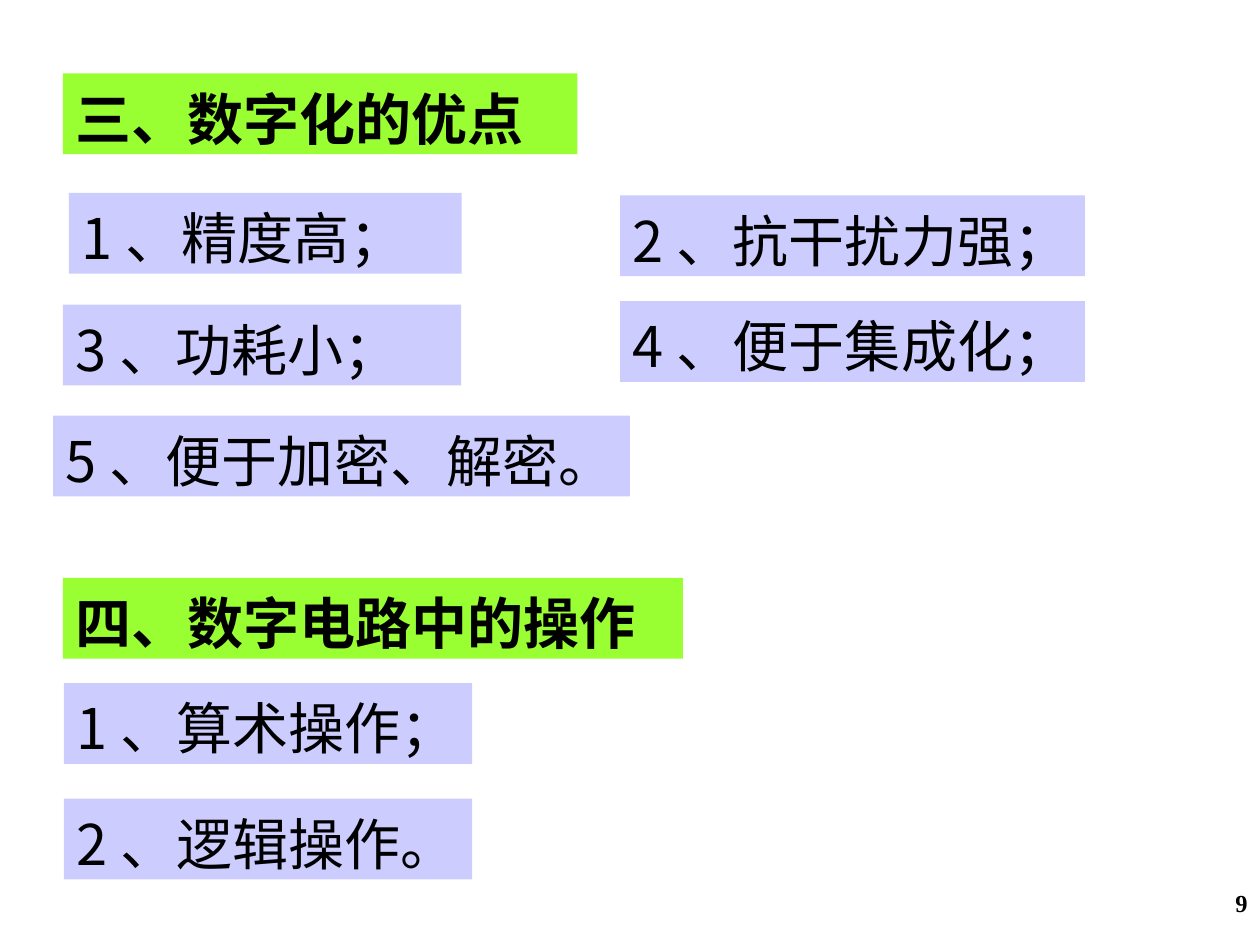
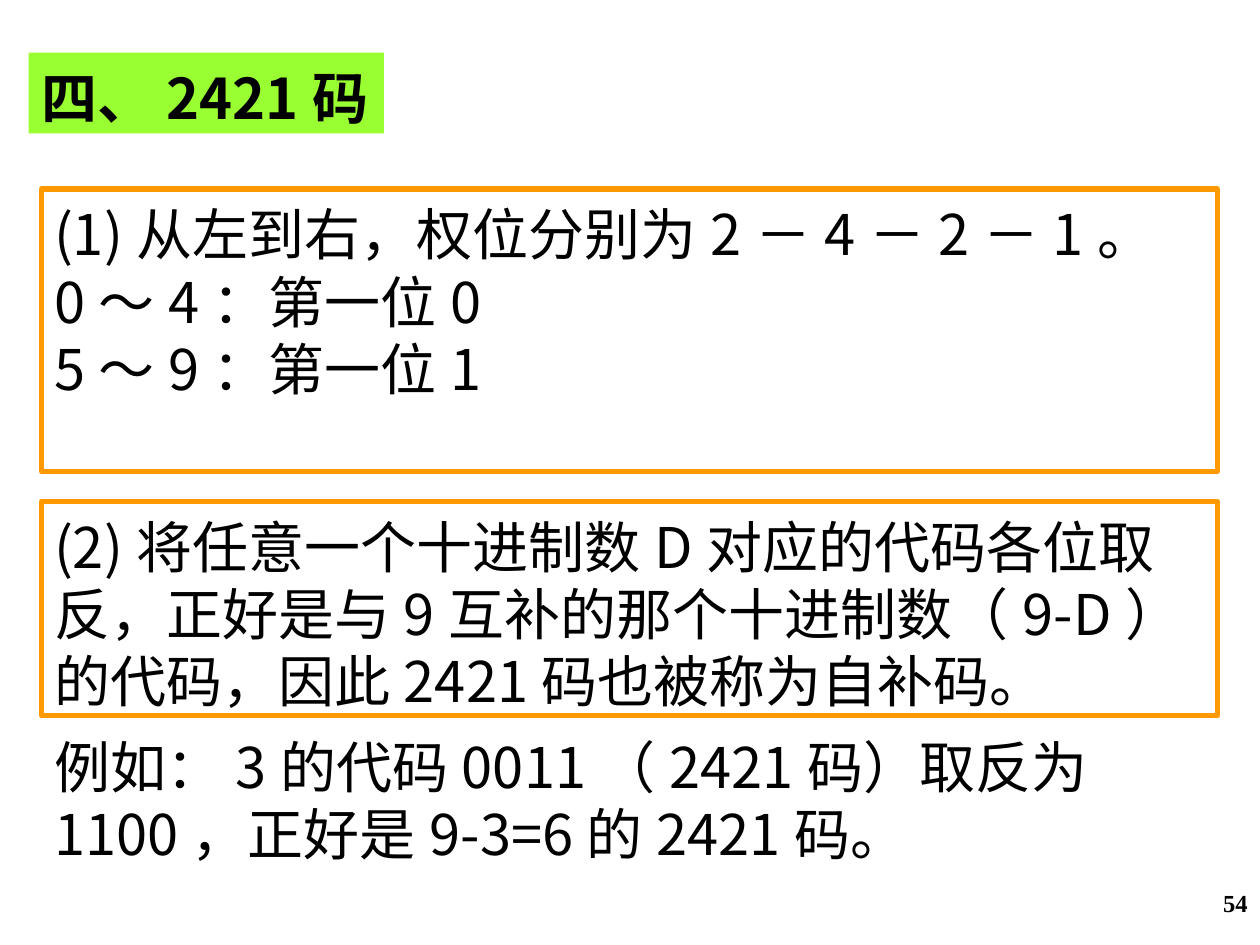
from dataclasses import dataclass

from lxml.etree import SubElement
from pptx import Presentation
from pptx.dml.color import RGBColor
from pptx.enum.shapes import MSO_SHAPE
from pptx.enum.text import MSO_ANCHOR, PP_ALIGN
from pptx.oxml.ns import qn
from pptx.slide import Slide
from pptx.util import Cm, Pt

SANS = "Noto Sans CJK SC"
SERIF = "Times New Roman"
BLACK, GREEN, LILAC, AMBER = "000000", "99FF33", "CCCCFF", "FF9900"
ROW = 1.63
FRAME = {
    "word_wrap": True,
    "vertical_anchor": MSO_ANCHOR.TOP,
    "margin_left": Cm(0.25),
    "margin_right": Cm(0.25),
    "margin_top": Cm(0.22),
    "margin_bottom": Cm(0),
}
BODY = {"alignment": PP_ALIGN.LEFT, "line_spacing": Pt(38.4)}
FOOT = {"alignment": PP_ALIGN.RIGHT}


@dataclass(frozen=True)
class Box:
    """A block of text with its place in centimetres and its look."""

    text: str
    left: float
    top: float
    width: float
    height: float = ROW
    fill: str = ""
    line: str = ""
    bold: bool = False
    face: str = SANS


def head(text: str, left: float, top: float, width: float, face: str = SERIF) -> Box:
    """Describe a green section title."""
    return Box(text, left, top, width, fill=GREEN, bold=True, face=face)


def item(text: str, left: float, top: float, width: float) -> Box:
    """Describe a lilac list entry."""
    return Box(text, left, top, width, fill=LILAC)


PAGES: dict[str, list[Box]] = {
    "9": [
        head("三、数字化的优点", 1.27, 1.48, 10.37),
        item("1、精度高；", 1.39, 3.89, 7.92),
        item("2、抗干扰力强；", 12.5, 3.94, 9.37),
        item("3、功耗小；", 1.27, 6.14, 8.03),
        item("4、便于集成化；", 12.5, 6.07, 9.37),
        item("5、便于加密、解密。", 1.07, 8.38, 11.63),
        head("四、数字电路中的操作", 1.27, 11.65, 12.5),
        item("1、算术操作；", 1.29, 13.77, 8.23),
        item("2、逻辑操作。", 1.29, 16.1, 8.23),
    ],
    "54": [
        head("四、2421码", 0.58, 1.06, 7.16, SANS),
        Box(
            "(2)将任意一个十进制数D对应的代码各位取反，正好是与9互补的"
            "那个十进制数（9-D）的代码，因此2421码也被称为自补码。",
            0.84, 10.11, 23.7, 4.32, line=AMBER,
        ),
        Box(
            "例如：3的代码0011（2421码）取反为1100，正好是9-3=6的2421码。",
            0.84, 14.55, 24.13, 2.97,
        ),
        Box(
            "(1)从左到右，权位分别为2－4－2－1。\n0～4：第一位0\n5～9：第一位1",
            0.84, 3.81, 23.7, 5.69, line=AMBER,
        ),
    ],
}


def tint(code: str) -> RGBColor:
    """Turn a hex string into a colour."""
    return RGBColor.from_string(code)


def put(thing: object, form: dict) -> None:
    """Set each format value on an object."""
    for name, value in form.items():
        setattr(thing, name, value)


def write(frame, box: Box, size: float, para: dict) -> None:
    """Fill a text frame with styled paragraphs."""
    put(frame, FRAME)
    frame.text = box.text
    for part in frame.paragraphs:
        put(part, para)
        for run in part.runs:
            put(run.font, {"name": box.face, "size": Pt(size), "bold": box.bold})
            run.font.color.rgb = tint(BLACK)
            SubElement(run.font._element, qn("a:ea"), typeface=SANS)


def draw(slide: Slide, box: Box) -> None:
    """Draw a box as a shape, or as bare text when it has no look."""
    area = [Cm(x) for x in (box.left, box.top, box.width, box.height)]
    if not (box.fill or box.line):
        write(slide.shapes.add_textbox(*area).text_frame, box, 32, BODY)
        return
    shape = slide.shapes.add_shape(MSO_SHAPE.RECTANGLE, *area)
    shape.shadow.inherit = False
    if box.fill:
        shape.fill.solid()
        shape.fill.fore_color.rgb = tint(box.fill)
    else:
        shape.fill.background()
    if box.line:
        shape.line.color.rgb = tint(box.line)
        shape.line.width = Pt(3)
    else:
        shape.line.fill.background()
    write(shape.text_frame, box, 32, BODY)


def foot(slide: Slide, label: str) -> None:
    """Add the page number."""
    box = Box(label, 20.12, 17.78, 5.28, 1.27, bold=True, face=SERIF)
    area = [Cm(x) for x in (box.left, box.top, box.width, box.height)]
    frame = slide.shapes.add_textbox(*area).text_frame
    write(frame, box, 14, FOOT)
    frame.margin_top = Cm(0.13)


def main() -> None:
    """Build and save the deck."""
    deck = Presentation()
    put(deck, {"slide_width": Cm(25.4), "slide_height": Cm(19.05)})
    for label, boxes in PAGES.items():
        slide = deck.slides.add_slide(deck.slide_layouts[6])
        foot(slide, label)
        for box in boxes:
            draw(slide, box)
    deck.save("out.pptx")


if __name__ == "__main__":
    main()
